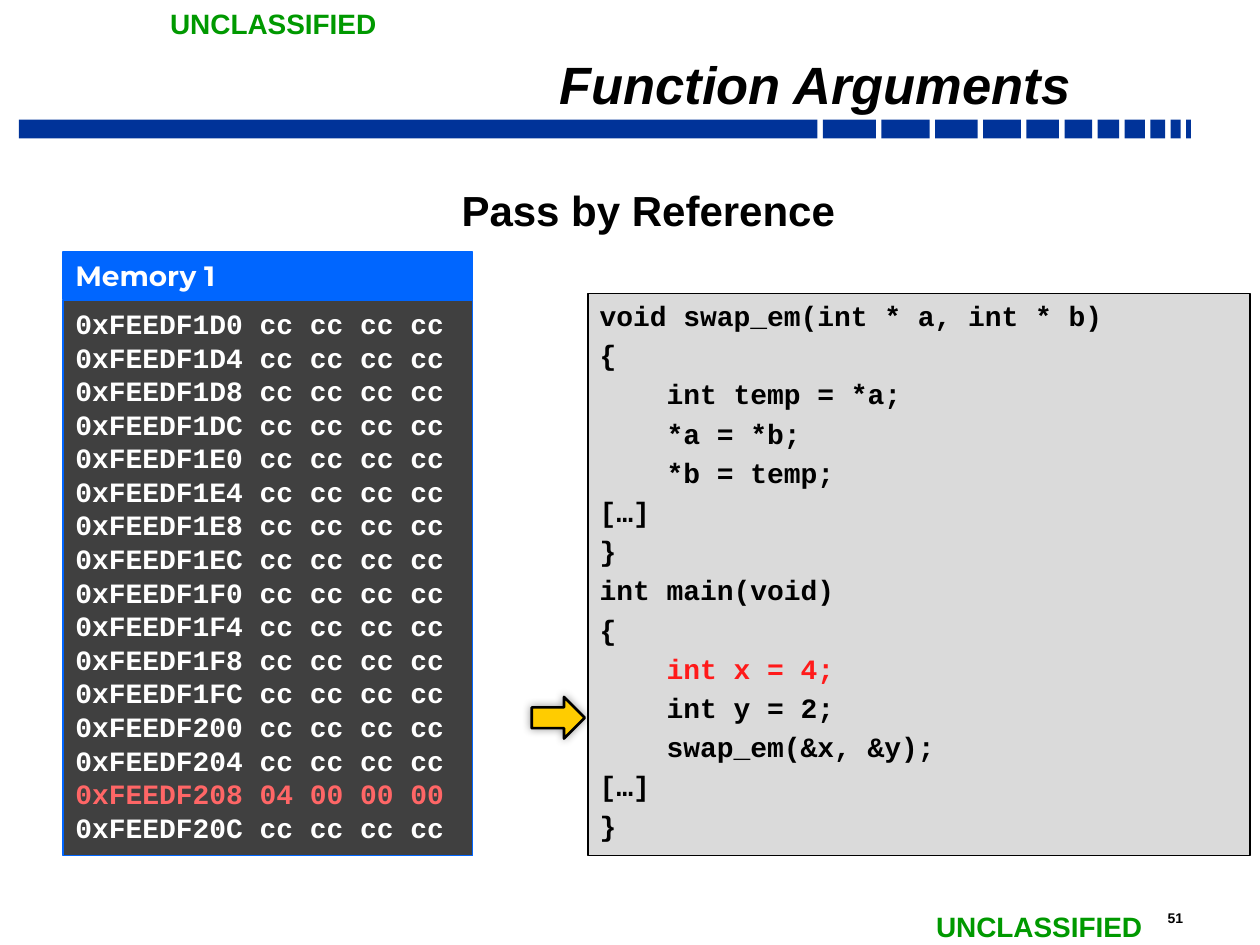
from lxml.etree import SubElement
from pptx import Presentation
from pptx.dml.color import RGBColor
from pptx.enum.shapes import MSO_SHAPE
from pptx.enum.text import MSO_ANCHOR, PP_ALIGN
from pptx.oxml.ns import qn
from pptx.util import Cm, Pt

BLACK, WHITE, GREEN, NAVY, BLUE = "000000", "FFFFFF", "009900", "003399", "0066FF"
CODE_FONT = "Courier New"


def color(value):
    return RGBColor.from_string(value)


class SlideBuilder:
    """Holds the slide and draws its elements; lengths are centimetres."""

    def __init__(self, slide, font="Arial"):
        self.slide = slide
        self.font = font

    def fill_text(self, shape, lines, size, font=None, align=PP_ALIGN.LEFT,
                  anchor=MSO_ANCHOR.TOP, inset=(0.25, 0.13), wrap=True,
                  space_before=0, line_spacing=None, italic=False):
        """Fill a shape with (text, colour) lines, one paragraph each."""
        frame = shape.text_frame
        frame.word_wrap = wrap
        frame.vertical_anchor = anchor
        frame.margin_left = frame.margin_right = Cm(inset[0])
        frame.margin_top = frame.margin_bottom = Cm(inset[1])
        for index, (text, text_color) in enumerate(lines):
            paragraph = frame.add_paragraph() if index else frame.paragraphs[0]
            paragraph.alignment = align
            paragraph.space_before = Pt(space_before if index else 0)
            if line_spacing:
                paragraph.line_spacing = line_spacing
            run = paragraph.add_run()
            run.text = text
            run.font.name = font or self.font
            run.font.size = Pt(size)
            run.font.bold = True
            run.font.italic = italic
            run.font.color.rgb = color(text_color)

    def title(self, text, box, **style):
        shape = self.slide.shapes.title
        shape.left, shape.top, shape.width, shape.height = map(Cm, box)
        self.fill_text(shape, [(text, BLACK)], **style)

    def text(self, text, box, text_color=BLACK, **style):
        shape = self.slide.shapes.add_textbox(*map(Cm, box))
        self.fill_text(shape, [(text, text_color)], **style)

    def block(self, box, fill, line=None, line_width=0.75, kind=MSO_SHAPE.RECTANGLE):
        shape = self.slide.shapes.add_shape(kind, *map(Cm, box))
        shape.shadow.inherit = False
        shape.fill.solid()
        shape.fill.fore_color.rgb = color(fill)
        if line:
            shape.line.color.rgb = color(line)
            shape.line.width = Pt(line_width)
        else:
            shape.line.fill.background()
        return shape

    def glow_shadow(self, shape, blur, opacity):
        """Add a soft shadow with no offset."""
        effects = shape.element.spPr.find(qn("a:effectLst"))
        shadow = SubElement(effects, qn("a:outerShdw"), blurRad=str(Pt(blur)),
                            dist="0", dir="0", algn="ctr", rotWithShape="0")
        shadow_color = SubElement(shadow, qn("a:srgbClr"), val=BLACK)
        SubElement(shadow_color, qn("a:alpha"), val=str(opacity * 1000))


def main():
    presentation = Presentation()
    presentation.slide_width, presentation.slide_height = Cm(25.4), Cm(19.05)
    slide = presentation.slides.add_slide(presentation.slide_layouts[5])
    builder = SlideBuilder(slide)

    # Rule under the title, breaking into ever shorter segments
    left = 0.38
    for width in (16.1, 1.07, 0.97, 0.86, 0.76, 0.66, 0.56, 0.43, 0.41, 0.3, 0.2, 0.1):
        builder.block((left, 2.41, width, 0.38), NAVY)
        left += width + 0.11

    # Classification markings and page number
    for left, top in ((3.18, 0), (18.62, 18.21)):
        builder.text("UNCLASSIFIED", (left, top, 4.72, 0.94), GREEN, size=16, wrap=False)
    builder.text("51", (23.29, 18.21, 1.37, 0.58), size=8)

    # Title and subtitle
    builder.title("Function Arguments", (4.24, 0.89, 17.58, 1.5), size=30,
                  align=PP_ALIGN.RIGHT, anchor=MSO_ANCHOR.BOTTOM,
                  inset=(0.23, 0.1), line_spacing=0.7, italic=True)
    builder.text("Pass by Reference", (1.55, 3.61, 23.04, 1.3), size=24,
                 align=PP_ALIGN.CENTER, inset=(0.23, 0.1))

    # Memory panel: sixteen words, the one holding x highlighted
    header = builder.block((1.27, 5.08, 8.26, 0.95), BLUE, BLUE)
    builder.fill_text(header, [("Memory 1", WHITE)], 16, "Montserrat",
                      anchor=MSO_ANCHOR.MIDDLE)
    memory = []
    for address in range(0xFEEDF1D0, 0xFEEDF210, 4):
        holds_x = address == 0xFEEDF208
        content = "04 00 00 00" if holds_x else "cc cc cc cc"
        memory.append((f"0x{address:X} {content}", "FF6666" if holds_x else WHITE))
    panel = builder.block((1.27, 6.05, 8.26, 11.2), "404040", BLUE)
    builder.fill_text(panel, memory, 16, CODE_FONT)

    # Arrow at the current statement
    arrow = builder.block((10.72, 14.05, 1.07, 0.84), "FFCC00", BLACK, 1.5,
                          MSO_SHAPE.RIGHT_ARROW)
    builder.glow_shadow(arrow, blur=5, opacity=40)

    # Source code with the executed line in red
    code = """void swap_em(int * a, int * b)
{
    int temp = *a;
    *a = *b;
    *b = temp;
[…]
}
int main(void)
{
    int x = 4;
    int y = 2;
    swap_em(&x, &y);
[…]
}"""
    lines = [(line, "FF1A1A" if "int x" in line else BLACK) for line in code.split("\n")]
    listing = builder.block((11.86, 5.92, 13.34, 11.33), "DADADA", BLACK, 1)
    builder.fill_text(listing, lines, 16, CODE_FONT, inset=(0.23, 0.1), space_before=3.2)

    presentation.save("out.pptx")


if __name__ == "__main__":
    main()
